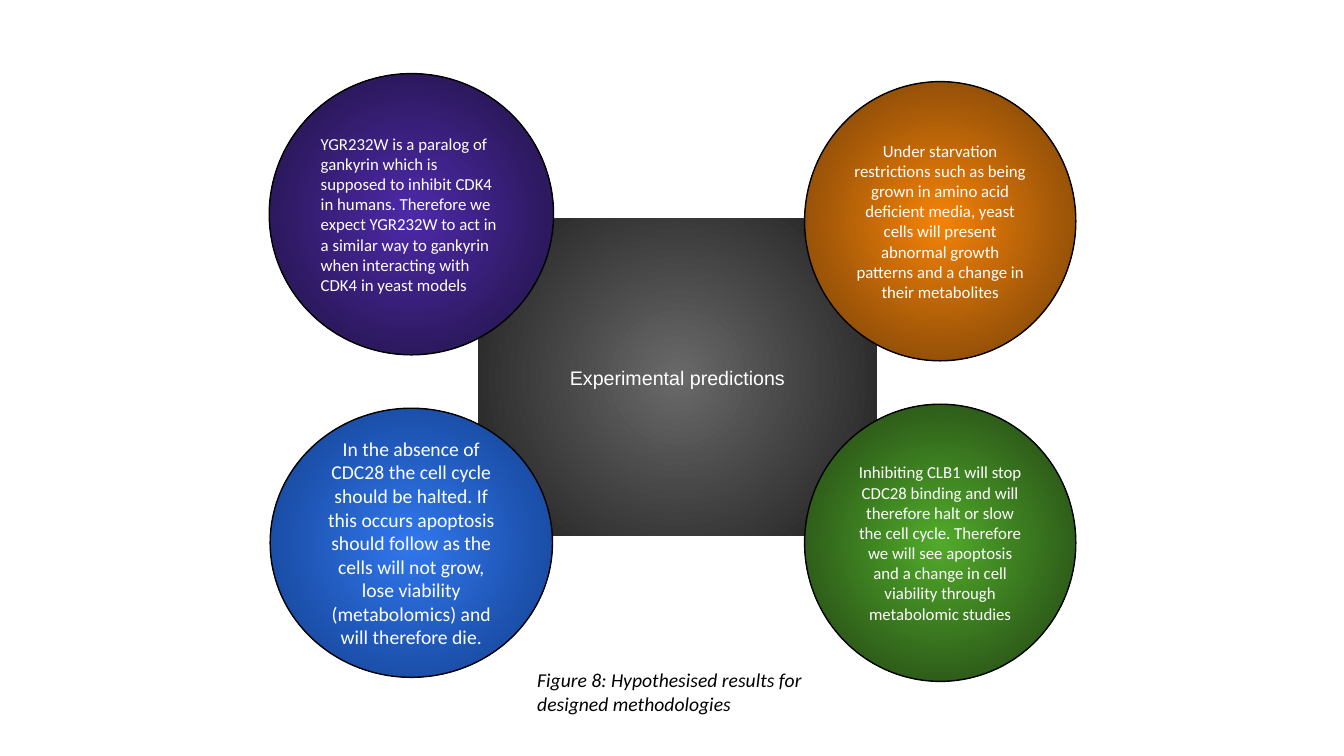
from lxml.etree import SubElement
from pptx import Presentation
from pptx.dml.color import RGBColor
from pptx.enum.shapes import MSO_SHAPE
from pptx.enum.text import MSO_ANCHOR, PP_ALIGN
from pptx.oxml.ns import qn
from pptx.util import Pt

PX = 9144
HEX = {
    "white": "FFFFFF", "black": "000000",
    "grey": ("696969", "1D1D1D"), "violet": ("4E29AA", "1E123D"),
    "orange": ("F48208", "703E08"), "blue": ("3177EE", "113D8A"),
    "green": ("51AB2A", "203E13"),
}
LEFT, MID = PP_ALIGN.LEFT, PP_ALIGN.CENTER


class Slide:
    """Hold the style and current slide, and draw its elements."""

    def __init__(self, page):
        self.shapes = page.shapes
        self.font = "Calibri"

    def words(self, shape, text, size, align, pad, ink="white", font=None, slant=False):
        frame = shape.text_frame
        frame.word_wrap = True
        frame.margin_left = frame.margin_right = 10 * PX
        frame.margin_top = frame.margin_bottom = pad * PX
        frame.text = text
        para = frame.paragraphs[0]
        para.alignment = align
        style = para.runs[0].font
        style.name = font or self.font
        style.size = Pt(size)
        style.italic = slant
        style.color.rgb = RGBColor.from_string(HEX[ink])

    def glow(self, shape, tone):
        shape.fill.gradient()
        for stop, code in zip(shape.fill.gradient_stops, HEX[tone]):
            stop.color.rgb = RGBColor.from_string(code)
        grad = shape.element.spPr.find(qn("a:gradFill"))
        grad.remove(grad.find(qn("a:lin")))
        ring = SubElement(grad, qn("a:path"), path="circle")
        SubElement(ring, qn("a:fillToRect"), l="50000", t="50000", r="50000", b="50000")

    def panel(self, kind, box, tone, edge, text, size, align=MID, pad=5, font=None):
        shape = self.shapes.add_shape(kind, *(n * PX for n in box))
        shape.shadow.inherit = False
        self.glow(shape, tone)
        shape.line.color.rgb = RGBColor.from_string(HEX[edge])
        shape.line.width = Pt(1)
        shape.text_frame.vertical_anchor = MSO_ANCHOR.MIDDLE
        self.words(shape, text, size, align, pad, font=font)

    def label(self, box, text, size):
        shape = self.shapes.add_textbox(*(n * PX for n in box))
        self.words(shape, text, size, LEFT, 10, "black", slant=True)


CIRCLES = [
    ((267, 73, 282, 279), "violet", 12, LEFT,
     "YGR232W is a paralog of gankyrin which is supposed to inhibit CDK4 in humans. "
     "Therefore we expect YGR232W to act in a similar way to gankyrin when interacting "
     "with CDK4 in yeast models"),
    ((798, 81, 269, 277), "orange", 12, MID,
     "Under starvation restrictions such as being grown in amino acid deficient media, "
     "yeast cells will present abnormal growth patterns and a change in their metabolites"),
    ((268, 405, 280, 267), "blue", 14, MID,
     "In the absence of CDC28 the cell cycle should be halted. If this occurs apoptosis "
     "should follow as the cells will not grow, lose viability (metabolomics) and will "
     "therefore die."),
    ((798, 401, 269, 275), "green", 12, MID,
     "Inhibiting CLB1 will stop CDC28 binding and will therefore halt or slow the cell "
     "cycle. Therefore we will see apoptosis and a change in cell viability through "
     "metabolomic studies"),
]


def main():
    deck = Presentation()
    deck.slide_width, deck.slide_height = 1333 * PX, 750 * PX
    slide = Slide(deck.slides.add_slide(deck.slide_layouts[6]))
    slide.panel(MSO_SHAPE.RECTANGLE, (473, 216, 398, 317), "grey", "white",
                "Experimental predictions", 14, pad=10, font="Arial")
    for box, tone, size, align, text in CIRCLES:
        slide.panel(MSO_SHAPE.OVAL, box, tone, "black", text, size, align)
    slide.label((523, 653, 327, 72),
                "Figure 8: Hypothesised results for designed methodologies", 14)
    deck.save("out.pptx")


if __name__ == "__main__":
    main()
